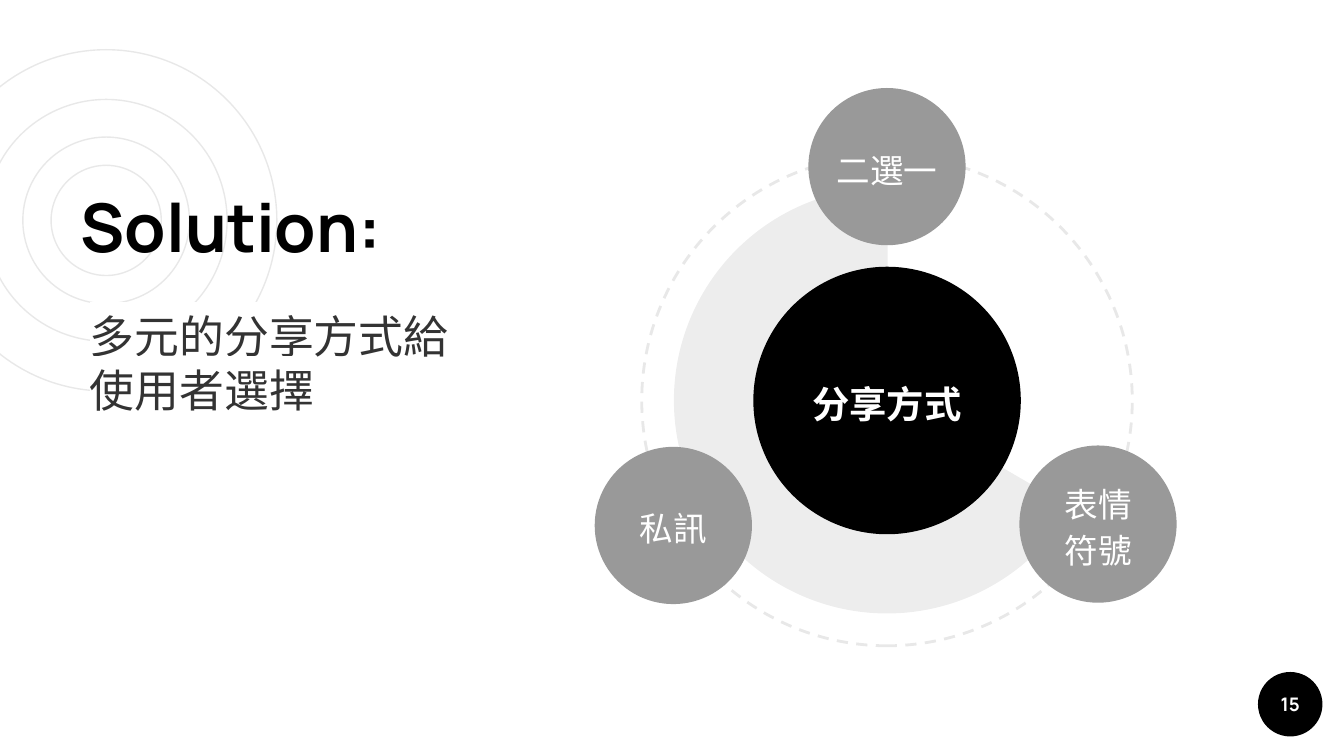
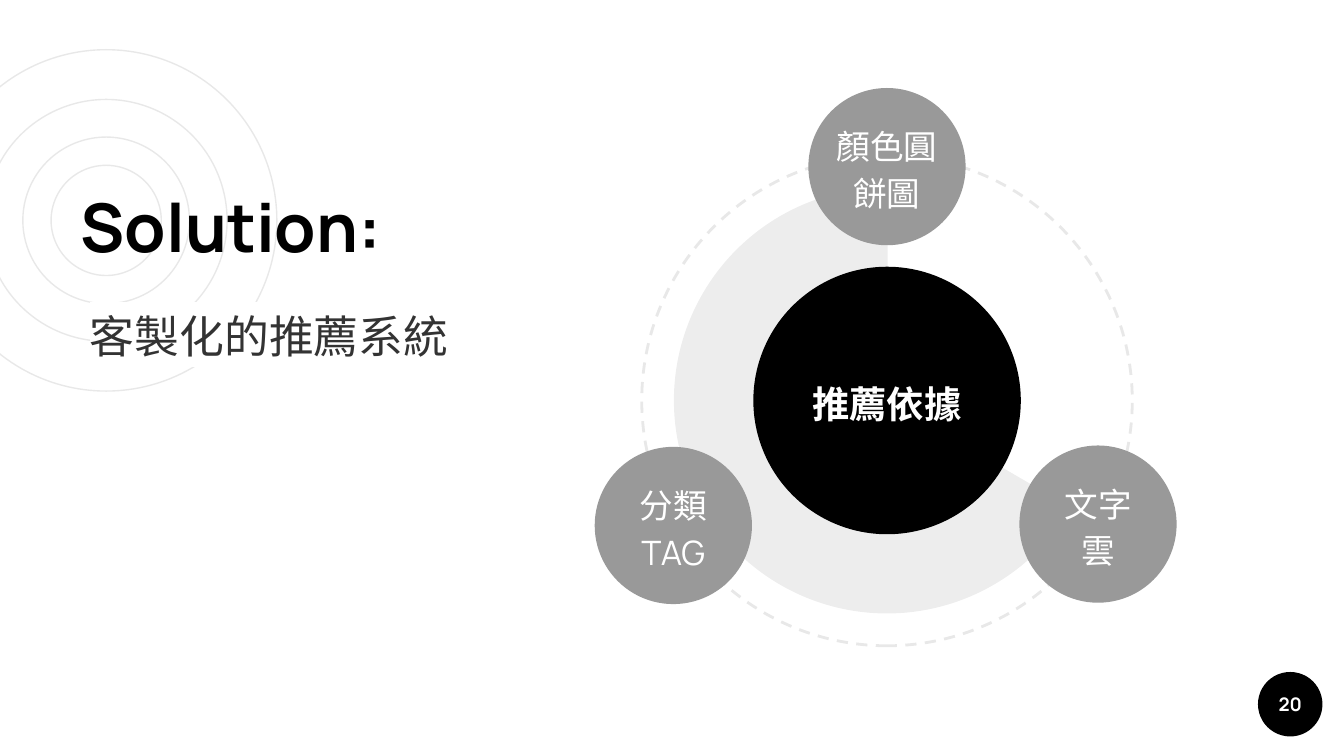
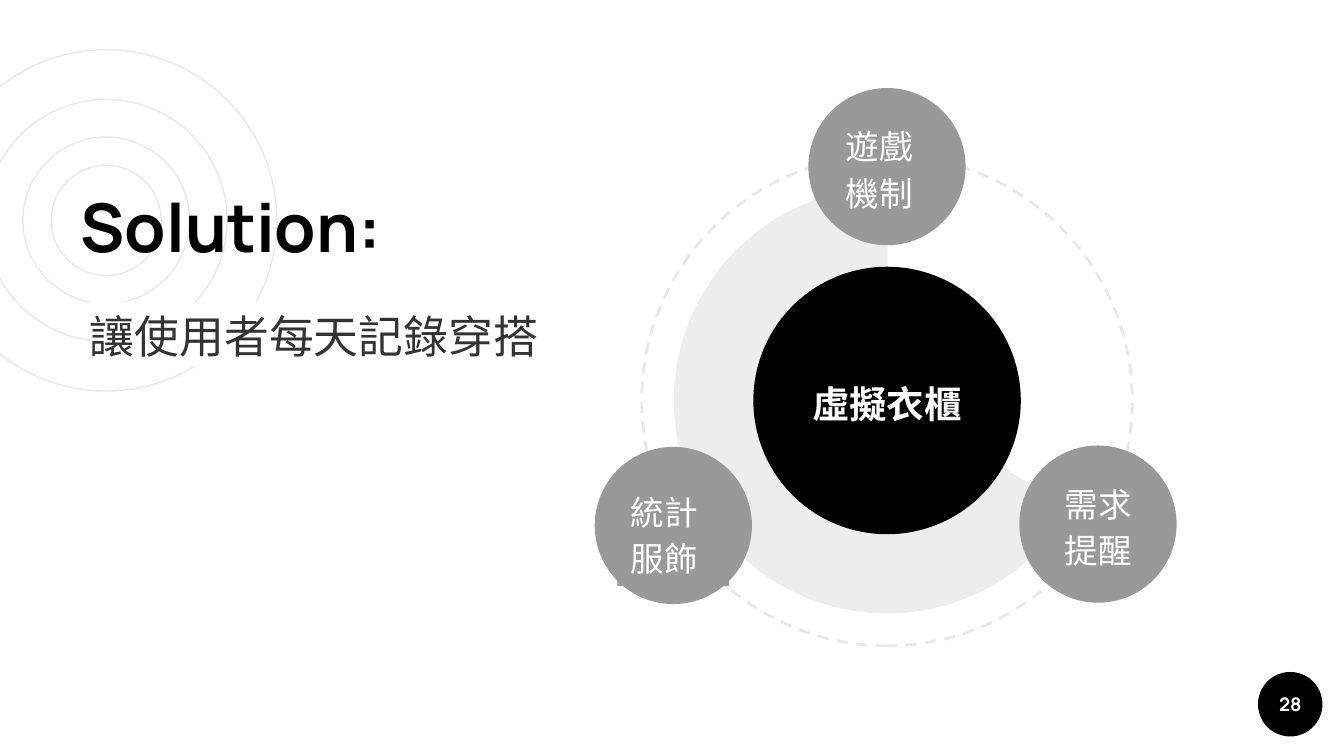
"""Build three solution slides, each with a hub diagram and three satellites."""
from lxml.etree import SubElement
from pptx import Presentation
from pptx.dml.color import RGBColor
from pptx.enum.dml import MSO_LINE
from pptx.enum.shapes import MSO_SHAPE as SHAPE
from pptx.enum.text import MSO_ANCHOR as ANCHOR, PP_ALIGN as ALIGN
from pptx.oxml.ns import qn
from pptx.util import Inches, Pt

COLORS = {"black": "000000", "white": "FFFFFF", "gray": "999999",
          "line": "E8E8E8", "body": "333333"}
HEAD_FONT, BODY_FONT = "Manrope", "Roboto"

SLIDES = [
    {"page": "15", "lines": ["多元的分享方式給", "使用者選擇"], "width": 3.75,
     "hub": "分享方式",
     "nodes": [("二選一", 1.06, ALIGN.CENTER, 0),
               ("私訊", 0.83, ALIGN.CENTER, 0),
               ("表情符號", 0.83, ALIGN.CENTER, 0)]},
    {"page": "20", "lines": ["客製化的推薦系統"], "width": 3.28,
     "hub": "推薦依據",
     "nodes": [("顏色圓餅圖", 1.06, ALIGN.CENTER, 0),
               ("分類TAG", 0.83, ALIGN.CENTER, 0),
               ("文字雲", 0.83, ALIGN.CENTER, 0)]},
    {"page": "28", "lines": ["讓使用者每天記錄穿搭"], "width": 3.65,
     "hub": "虛擬衣櫃",
     "nodes": [("遊戲機制", 0.81, ALIGN.LEFT, 0),
               ("統計服飾", 0.83, ALIGN.LEFT, 0.05),
               ("需求提醒", 0.83, ALIGN.CENTER, 0)]},
]

RING_CENTER, RING_SIZES = (0.79, 1.64), (2.54, 1.24, 1.8, 0.82)
HUB_CENTER = (6.6, 2.98)
NODE_CENTERS = [(6.6, 1.24), (5.01, 3.91), (8.17, 3.9)]
NODE_SIZE, LABEL_HEIGHT = 1.17, 0.8
PAGE_CENTER, PAGE_SIZE = (9.6, 5.24), 0.48


def rgb(name):
    return RGBColor.from_string(COLORS[name])


def box_at(center, w, h):
    return [Inches(v) for v in (center[0] - w / 2, center[1] - h / 2, w, h)]


def add_shape(s, kind, center, w, h=None, fill=None, line=None):
    sp = s.shapes.add_shape(kind, *box_at(center, w, h or w))
    sp.shadow.inherit = False
    if fill:
        sp.fill.solid()
        sp.fill.fore_color.rgb = rgb(fill)
    else:
        sp.fill.background()
    if line:
        sp.line.color.rgb = rgb("line")
        sp.line.width = Pt(line)
    else:
        sp.line.fill.background()
    return sp


def set_text(sp, lines, size, color, font=HEAD_FONT, bold=False,
             align=ALIGN.LEFT, anchor=ANCHOR.TOP, spacing=None):
    tf = sp.text_frame
    tf.text = "\n".join(lines)
    tf.word_wrap = True
    tf.vertical_anchor = anchor
    tf.margin_left = tf.margin_right = tf.margin_top = tf.margin_bottom = Inches(0.1)
    for p in tf.paragraphs:
        p.alignment = align
        if spacing:
            p.line_spacing = spacing
        for r in p.runs:
            r.font.size, r.font.bold, r.font.name = Pt(size), bold, font
            r.font.color.rgb = rgb(color)


def add_centered(s, text, center, w, h, size, spacing=None):
    sp = s.shapes.add_textbox(*box_at(center, w, h))
    set_text(sp, [text], size, "white", bold=True, align=ALIGN.CENTER,
             anchor=ANCHOR.MIDDLE, spacing=spacing)


def highlight(r):
    fill = r.font.fill._xPr.find(qn("a:solidFill"))
    mark = SubElement(fill.getparent(), qn("a:highlight"))
    SubElement(mark, qn("a:srgbClr"), val=COLORS["white"])
    fill.addnext(mark)


def add_frame(s, page):
    for size in RING_SIZES:
        add_shape(s, SHAPE.OVAL, RING_CENTER, size, line=0.75)
    add_shape(s, SHAPE.OVAL, PAGE_CENTER, PAGE_SIZE, fill="black")
    title = s.shapes.title
    title.left, title.top, title.width, title.height = map(
        Inches, (0.5, 1.28, 3.28, 0.77))
    set_text(title, ["Solution:"], 36, "black", bold=True)
    title.element.getparent().append(title.element)
    add_centered(s, page, PAGE_CENTER, PAGE_SIZE, PAGE_SIZE, 10)


def add_diagram(s, hub, nodes):
    orbit = add_shape(s, SHAPE.OVAL, HUB_CENTER, 3.65, line=1.5)
    orbit.line.dash_style = MSO_LINE.DASH
    orbit.rotation = 270
    pie = add_shape(s, SHAPE.PIE, HUB_CENTER, 3.17, fill="black")
    pie.adjustments[0], pie.adjustments[1] = 18.12, 162.15
    tint = pie.element.spPr.find(qn("a:solidFill"))[0]
    SubElement(tint, qn("a:alpha"), val="7000")
    add_shape(s, SHAPE.OVAL, HUB_CENTER, 1.99, fill="black")
    add_centered(s, hub, HUB_CENTER, 1.47, 0.9, 20, 1.15)
    for i, ((x, y), (text, w, align, drop)) in enumerate(zip(NODE_CENTERS, nodes)):
        add_shape(s, SHAPE.OVAL, (x, y), NODE_SIZE, fill="gray")
        center = (x, y + drop)
        if i:
            label = add_shape(s, SHAPE.RECTANGLE, center, w, LABEL_HEIGHT, "gray")
        else:
            label = s.shapes.add_textbox(*box_at(center, w, LABEL_HEIGHT))
        set_text(label, [text], 18, "white", align=align,
                 anchor=ANCHOR.MIDDLE, spacing=1.15)


def add_summary(s, lines, width):
    sp = s.shapes.add_textbox(*map(Inches, (0.57, 2.2, width, 1.17)))
    set_text(sp, lines, 24, "body", font=BODY_FONT)
    for p in sp.text_frame.paragraphs:
        for r in p.runs:
            highlight(r)


def main():
    prs = Presentation()
    prs.slide_width = Inches(10)
    prs.slide_height = prs.slide_width * 9 // 16
    for item in SLIDES:
        s = prs.slides.add_slide(prs.slide_layouts[5])
        add_frame(s, item["page"])
        add_diagram(s, item["hub"], item["nodes"])
        add_summary(s, item["lines"], item["width"])
    prs.save("out.pptx")


if __name__ == "__main__":
    main()
